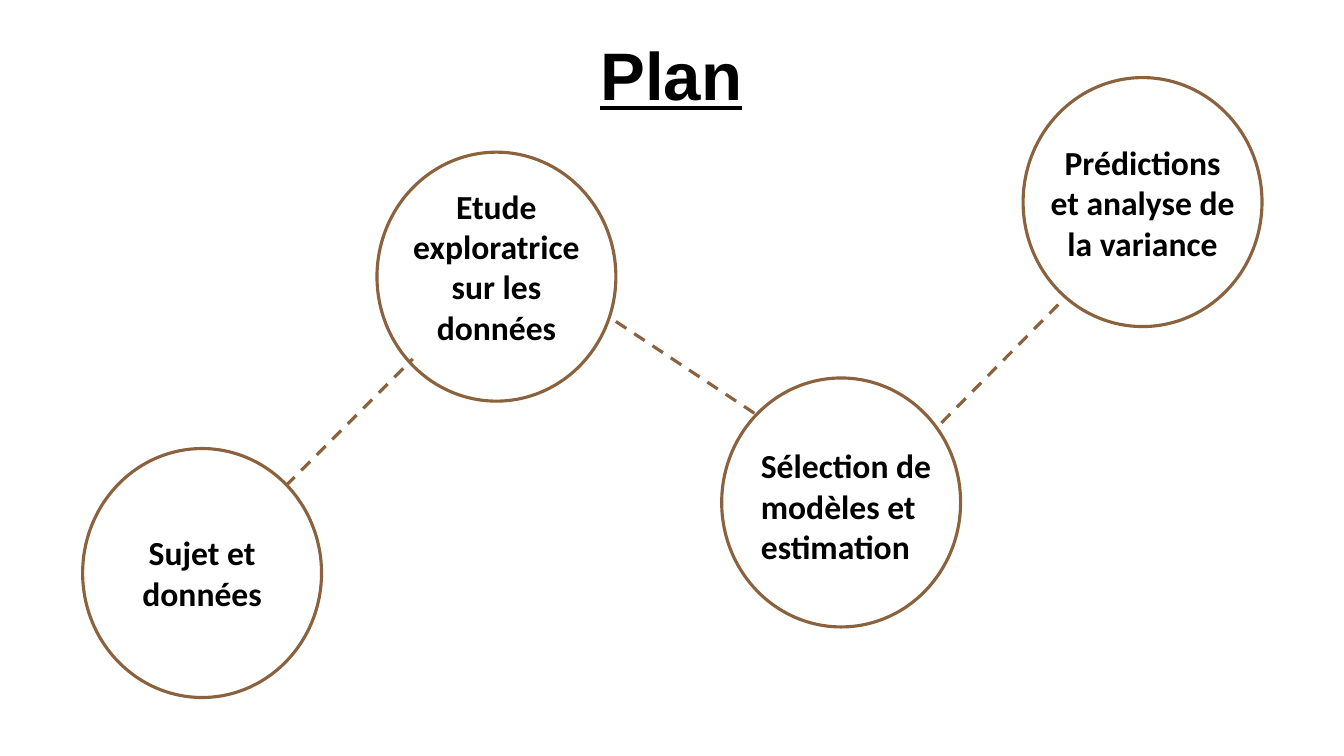
import pptx
import pptx.dml.color
import pptx.enum.dml
import pptx.enum.shapes
import pptx.enum.text
import pptx.oxml
import pptx.util

CELL = 0.1  # inches per column and row of the slide grid
COLUMNS, ROWS = 133.33, 75
BROWN, BLACK, WHITE = "8B623E", "000000", "FFFFFF"
LINE_WIDTH = pptx.util.Pt(2.25)
CIRCLE_WIDTH, CIRCLE_HEIGHT = 23.7, 24.7
LINE_ROWS, MARGIN_ROWS = 4.04, 1

CENTER = pptx.enum.text.PP_ALIGN.CENTER
LEFT = pptx.enum.text.PP_ALIGN.LEFT

# Circle corner, text, number of lines, label width, label shift, alignment
STEPS = [
    ((8.2, 44.5), "Sujet et données", 2, 16.5, (0, 0), CENTER),
    ((37.4, 15.1), "Etude exploratrice sur les données", 4, 19.5, (0, -0.95), CENTER),
    ((71.6, 37.5), "Sélection de modèles et estimation", 3, 19.6, (0.85, 0.4), LEFT),
    ((101.5, 7.7), "Prédictions et analyse de la variance", 3, 20.7, (0, 0.1), CENTER),
]

# Ends of each link, as shares of the circle it leaves and the circle it reaches
LINKS = [
    ((0.85, 0.15), (0.15, 0.83)),
    ((1, 0.68), (0.15, 0.15)),
    ((0.92, 0.18), (0.18, 0.88)),
]


def cells(*counts):
    return [pptx.util.Inches(count * CELL) for count in counts]


def color(hex_text):
    return pptx.dml.color.RGBColor.from_string(hex_text)


def write(shape, text, size, font="Calibri", align=CENTER, underline=None):
    frame = shape.text_frame
    frame.word_wrap = True
    frame.vertical_anchor = pptx.enum.text.MSO_ANCHOR.TOP
    paragraph = frame.paragraphs[0]
    paragraph.alignment = align
    run = paragraph.add_run()
    run.text = text
    run.font.name = font
    run.font.size = pptx.util.Pt(size)
    run.font.bold = True
    run.font.underline = underline
    run.font.color.rgb = color(BLACK)


def add_title(slide, left, top, width, height):
    title = slide.shapes.title
    title.left, title.top, title.width, title.height = cells(left, top, width, height)
    write(title, "Plan", 48, font="Arial", underline=True)


def add_link(slide, start_corner, end_corner, start_share, end_share):
    ends = []
    for (left, top), (across, down) in ((start_corner, start_share), (end_corner, end_share)):
        ends += [left + across * CIRCLE_WIDTH, top + down * CIRCLE_HEIGHT]
    link = slide.shapes.add_connector(
        pptx.enum.shapes.MSO_CONNECTOR.STRAIGHT, *cells(*ends))
    link.line.color.rgb = color(BROWN)
    link.line.width = LINE_WIDTH
    link.line.dash_style = pptx.enum.dml.MSO_LINE.DASH
    properties = link._element.spPr
    properties.append(pptx.oxml.parse_xml(
        '<a:effectLst xmlns:a="http://schemas.openxmlformats.org/drawingml/2006/main"/>'))


def add_step(slide, corner, text, lines, label_width, shift, align):
    left, top = corner
    # Circle
    circle = slide.shapes.add_shape(
        pptx.enum.shapes.MSO_SHAPE.FLOWCHART_CONNECTOR,
        *cells(left, top, CIRCLE_WIDTH, CIRCLE_HEIGHT))
    circle.shadow.inherit = False
    circle.fill.background()
    circle.line.color.rgb = color(BROWN)
    circle.line.width = LINE_WIDTH
    # Label, placed from the middle of the circle
    label_height = lines * LINE_ROWS + MARGIN_ROWS
    label_left = left + (CIRCLE_WIDTH - label_width) / 2 + shift[0]
    label_top = top + (CIRCLE_HEIGHT - label_height) / 2 + shift[1]
    label = slide.shapes.add_textbox(
        *cells(label_left, label_top, label_width, label_height))
    write(label, text, 24, align=align)


def main():
    presentation = pptx.Presentation()
    presentation.slide_width, presentation.slide_height = cells(COLUMNS, ROWS)
    slide = presentation.slides.add_slide(presentation.slide_layouts[5])
    slide.background.fill.solid()
    slide.background.fill.fore_color.rgb = color(WHITE)

    add_title(slide, 46.5, 2.8, 40.2, 9.1)
    for step in STEPS:
        add_step(slide, *step)
    # Each link joins a step to the next one
    for current, following, shares in zip(STEPS, STEPS[1:], LINKS):
        add_link(slide, current[0], following[0], *shares)

    presentation.save("out.pptx")


if __name__ == "__main__":
    main()
